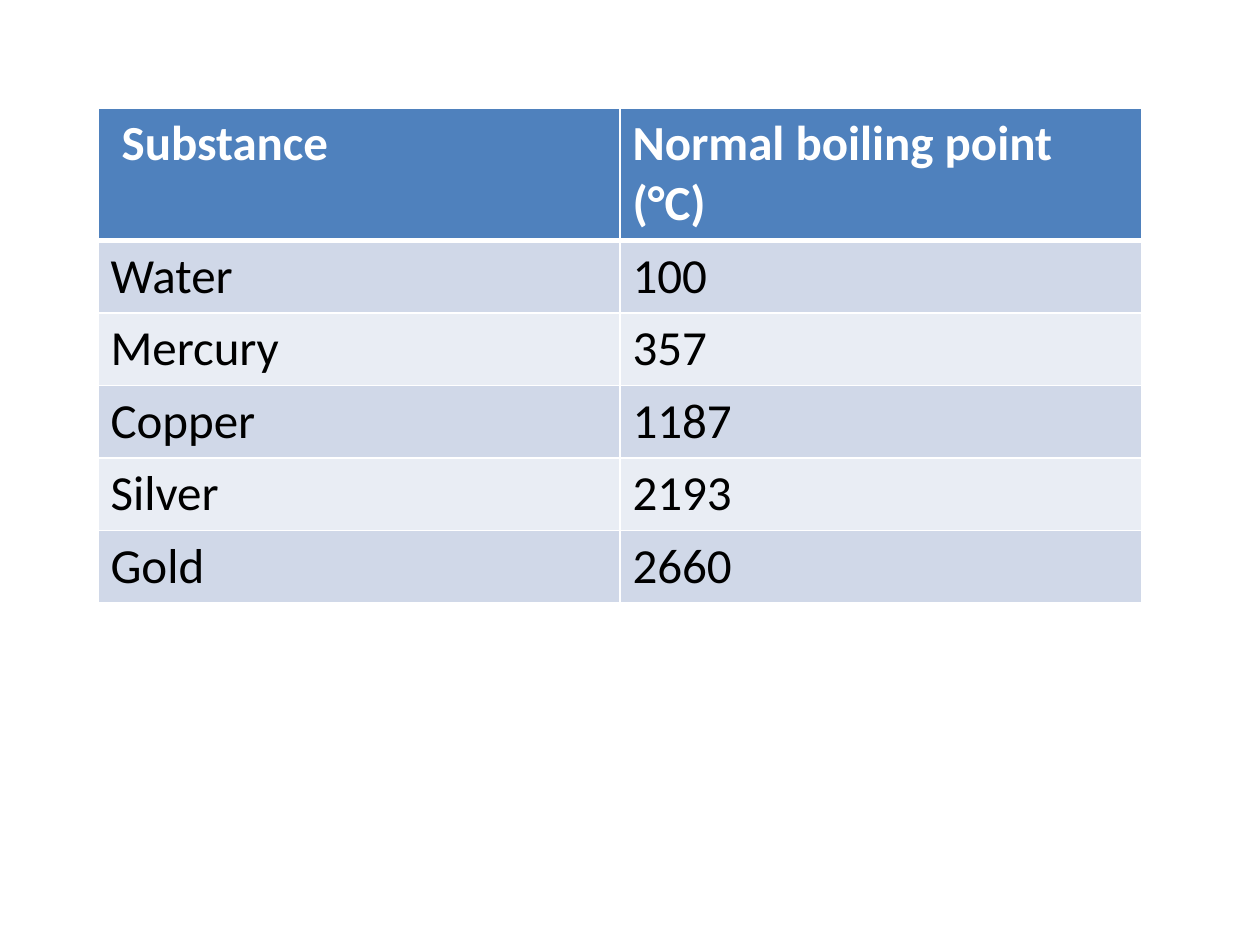
from lxml import etree
from pptx import Presentation, util as u
from pptx.dml.color import RGBColor
from pptx.oxml.ns import qn

PX = 914400 // 126
LEFT, TOP, HEIGHT = 98, 108, 488
COLUMN_WIDTH, ROW_HEIGHT = 522, 71
HEADER_FILL, BAND_FILLS = "4F81BD", ("D0D8E8", "E9EDF4")
WHITE, BLACK = "FFFFFF", "000000"

BOILING_POINTS = [
    (" Substance", "Normal boiling point (°C)"),
    ("Water", "100"),
    ("Mercury", "357"),
    ("Copper", "1187"),
    ("Silver", "2193"),
    ("Gold", "2660"),
]


def px(length):
    return u.Emu(length * PX)


def paint(fill, colour):
    fill.solid()
    fill.fore_color.rgb = RGBColor.from_string(colour)


def add_borders(cell, widths):
    """Draw white borders; widths maps each side to points."""
    properties = cell._tc.get_or_add_tcPr()
    for position, (side, points) in enumerate(widths.items()):
        border = etree.Element(qn(f"a:ln{side}"), w=str(u.Pt(points)))
        fill = etree.SubElement(border, qn("a:solidFill"))
        etree.SubElement(fill, qn("a:srgbClr"), val=WHITE)
        properties.insert(position, border)  # borders precede the cell fill


def write_cell(cell, words, row):
    header = row == 0
    paint(cell.fill, HEADER_FILL if header else BAND_FILLS[(row - 1) % 2])
    run = cell.text_frame.paragraphs[0].add_run()
    run.text = words
    run.font.name = "Calibri"
    run.font.size = u.Pt(28)
    run.font.bold = header
    paint(run.font.fill, WHITE if header else BLACK)
    # The rule below the header is thicker than the grid
    add_borders(cell, {"L": 1, "R": 1, "T": 3 if row == 1 else 1, "B": 3 if header else 1})


def add_boiling_table(slide, records):
    columns = len(records[0])
    frame = slide.shapes.add_table(len(records), columns, px(LEFT), px(TOP),
                                   px(columns * COLUMN_WIDTH), px(HEIGHT))
    for table_row in frame.table.rows:
        table_row.height = px(ROW_HEIGHT)
    frame.height = px(HEIGHT)  # the header wraps to two lines
    for row, record in enumerate(records):
        for column, words in enumerate(record):
            write_cell(frame.table.cell(row, column), words, row)


def main():
    deck = Presentation()
    deck.slide_width, deck.slide_height = u.Inches(10), u.Inches(7.5)
    slide = deck.slides.add_slide(deck.slide_layouts[6])
    paint(slide.background.fill, WHITE)
    add_boiling_table(slide, BOILING_POINTS)
    deck.save("out.pptx")


if __name__ == "__main__":
    main()
